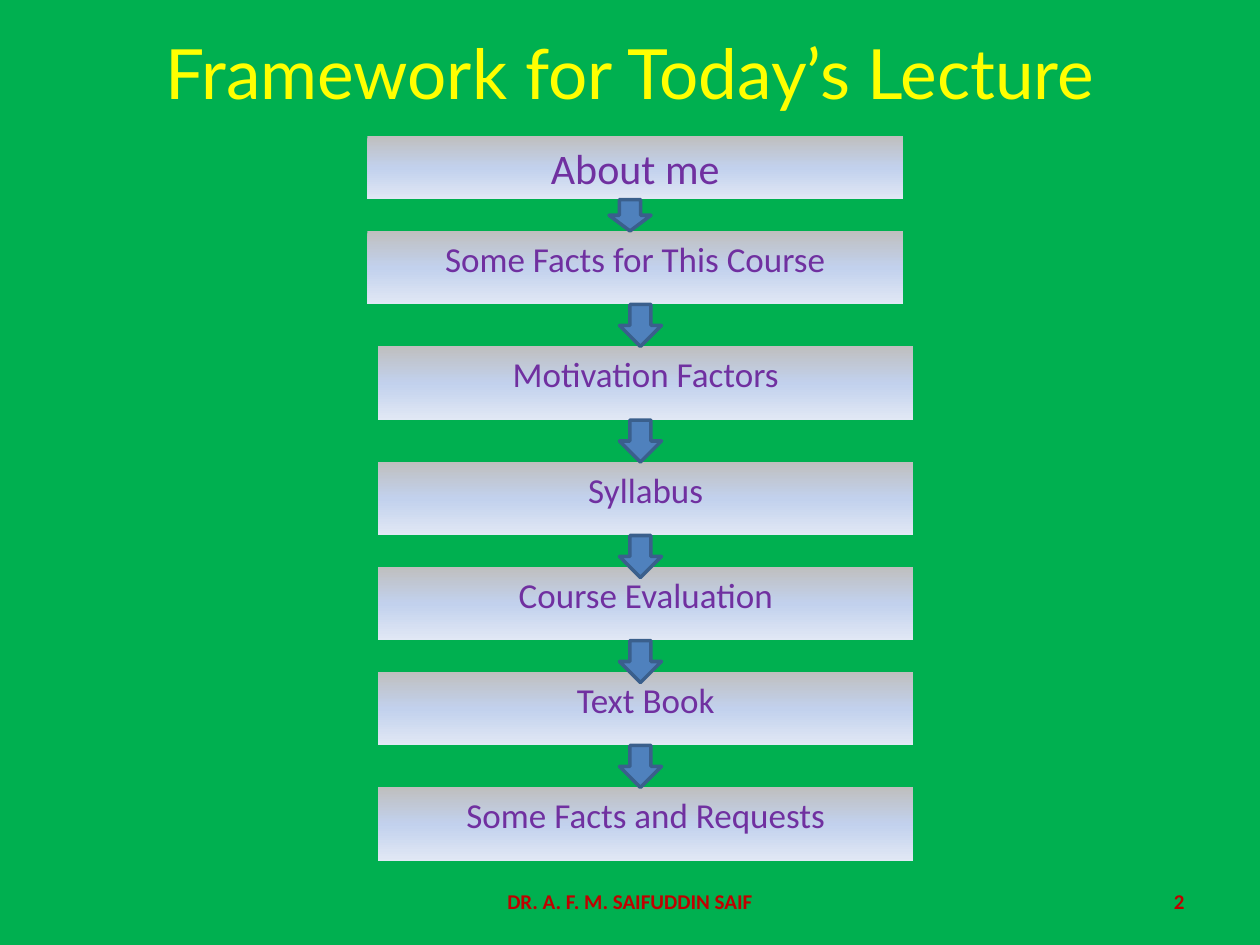
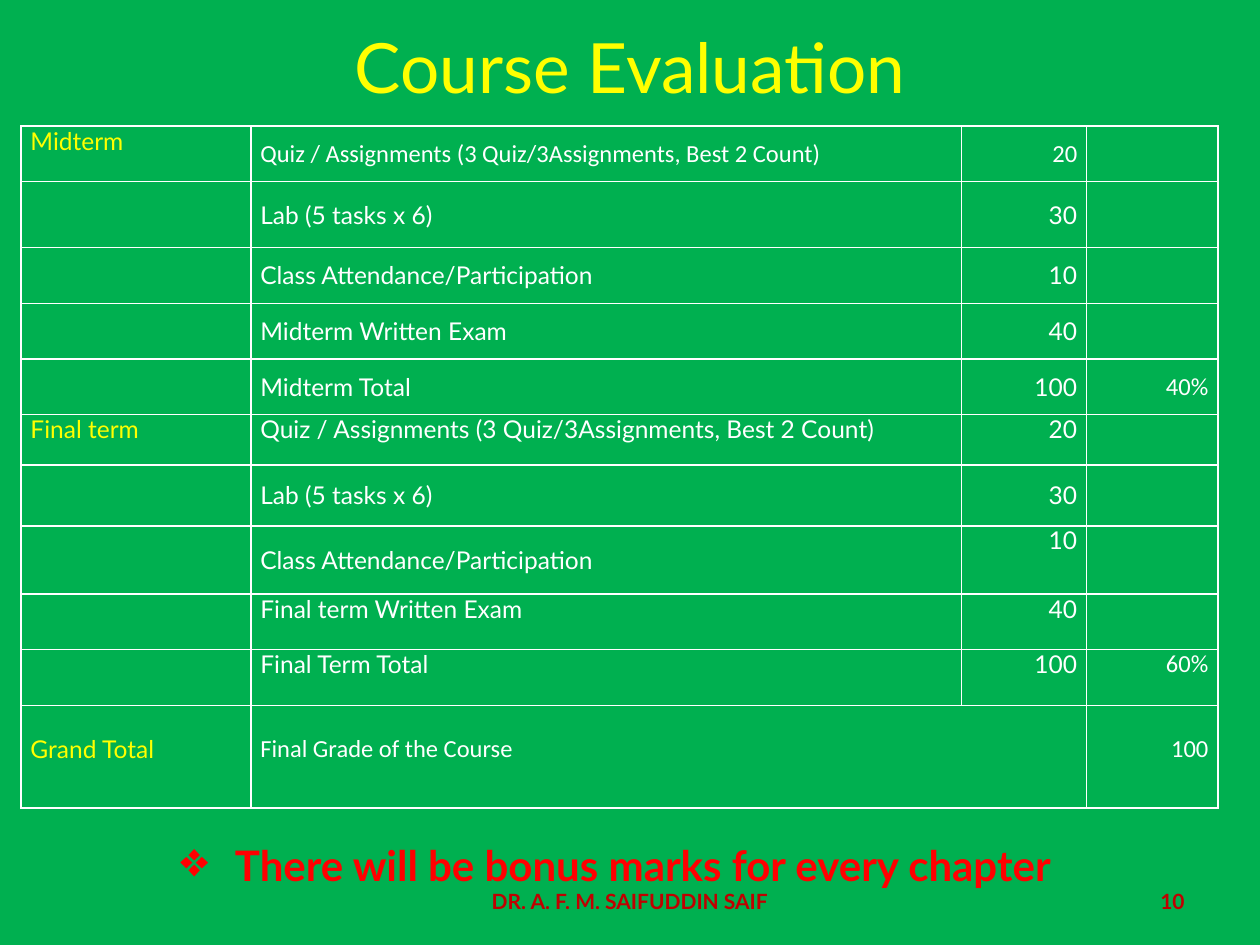
from copy import deepcopy

from lxml import etree
from pptx import Presentation
from pptx.dml.color import RGBColor
from pptx.enum.shapes import MSO_SHAPE
from pptx.enum.text import MSO_ANCHOR, PP_ALIGN
from pptx.oxml.ns import qn
from pptx.util import Emu, Pt

LEFT, CENTER, RIGHT, JUSTIFY = PP_ALIGN.LEFT, PP_ALIGN.CENTER, PP_ALIGN.RIGHT, PP_ALIGN.JUSTIFY
TOP, MIDDLE = MSO_ANCHOR.TOP, MSO_ANCHOR.MIDDLE
RECTANGLE, DOWN_ARROW = MSO_SHAPE.RECTANGLE, MSO_SHAPE.DOWN_ARROW

EMU_PER_PX = 7620  # 120 px to the inch
COLORS = {
    "green": "00B050", "yellow": "FFFF00", "white": "FFFFFF", "purple": "7030A0",
    "dark red": "C00000", "red": "FF0000", "arrow": "4F81BD", "arrow line": "3A5F8C",
    "box top": "BFBFBF", "box middle": "C2D1ED", "box bottom": "E1E8F5",
}
BOX_GRADIENT = [(0, "box top"), (0.5, "box middle"), (1, "box bottom")]
AUTHOR = "DR. A. F. M. SAIFUDDIN SAIF"

# Framework steps: text, left, top, height, text size
STEPS = [
    ("About me", 350, 130, 60, 24),
    ("Some Facts for This Course", 350, 220, 70, 20),
    ("Motivation Factors", 360, 330, 70, 20),
    ("Syllabus", 360, 440, 70, 20),
    ("Course Evaluation", 360, 540, 70, 20),
    ("Text Book", 360, 640, 70, 20),
    ("Some Facts and Requests", 360, 750, 70, 20),
]
STEP_WIDTH = 510
# Arrows below each step but the last: left, height
ARROWS = [(580, 30)] + [(590, 40)] * 5
ARROW_WIDTH = 40

# Marks: row height, anchor, term, item, marks, share
QUIZ = "Quiz / Assignments (3 Quiz/3Assignments, Best 2 Count)"
MARKS = [
    (53, MIDDLE, "Midterm", QUIZ, "20", ""),
    (63, MIDDLE, "", "Lab (5 tasks x 6)", "30", ""),
    (53, MIDDLE, "", "Class Attendance/Participation", "10", ""),
    (53, MIDDLE, "", "Midterm Written Exam", "40", ""),
    (53, MIDDLE, "", "Midterm Total", "100", "40%"),
    (48, TOP, "Final term", QUIZ, "20", ""),
    (58, MIDDLE, "", "Lab (5 tasks x 6)", "30", ""),
    (65, MIDDLE, "", "Class Attendance/Participation", "10", ""),
    (53, TOP, "", "Final term Written Exam", "40", ""),
    (53, TOP, "", "Final Term Total", "100", "60%"),
    (98, TOP, "Grand Total", "Final Grade of the Course", "", "100"),
]
COLUMN_WIDTHS = [219, 677, 119, 125]
TOP_CELLS = {(0, 0), (7, 2)}
GRAND_TOTAL_ROW = len(MARKS) - 1
GRAND_TOTAL_DROP = 28
BONUS = "There will be bonus marks for every chapter"


def px(*lengths):
    return [Emu(length * EMU_PER_PX) for length in lengths]


def color(name):
    return RGBColor.from_string(COLORS[name])


def write(frame, text, font, size, color_name, align=LEFT, bold=False):
    frame.word_wrap = True
    paragraph = frame.paragraphs[0]
    paragraph.text = text
    paragraph.alignment = align
    paragraph.font.name = font
    paragraph.font.size = Pt(size)
    paragraph.font.bold = bold
    paragraph.font.color.rgb = color(color_name)


def add_text(slide, place, anchor, *style):
    frame = slide.shapes.add_textbox(*px(*place)).text_frame
    frame.vertical_anchor = anchor
    write(frame, *style)
    return frame


def add_slide(presentation, title, title_height, number, footer_font):
    slide = presentation.slides.add_slide(presentation.slide_layouts[6])
    slide.background.fill.solid()
    slide.background.fill.fore_color.rgb = color("green")
    add_text(slide, (60, 36, 1080, title_height), MIDDLE, title, "Lato", 39.6, "yellow", CENTER)
    for left, width, text, align in [(860, 280, number, RIGHT), (410, 380, AUTHOR, CENTER)]:
        add_text(slide, (left, 834, width, 48), MIDDLE,
                 text, footer_font, 12, "dark red", align, True)
    return slide


def add_step(slide, text, left, top, height, size):
    box = slide.shapes.add_shape(RECTANGLE, *px(left, top, STEP_WIDTH, height))
    box.shadow.inherit = False
    box.line.fill.background()
    box.fill.gradient()
    box.fill.gradient_angle = 270
    stop_list = box._element.spPr.find(".//" + qn("a:gsLst"))
    stop_list.append(deepcopy(stop_list[0]))
    for stop, (position, name) in zip(box.fill.gradient_stops, BOX_GRADIENT):
        stop.position = position
        stop.color.rgb = color(name)
    box.text_frame.vertical_anchor = TOP
    write(box.text_frame, text, "Calibri", size, "purple", CENTER)


def add_arrow(slide, left, top, height):
    arrow = slide.shapes.add_shape(DOWN_ARROW, *px(left, top, ARROW_WIDTH, height))
    arrow.shadow.inherit = False
    arrow.fill.solid()
    arrow.fill.fore_color.rgb = color("arrow")
    arrow.line.color.rgb = color("arrow line")
    arrow.line.width = Pt(2)


def style_cell(cell, anchor, top_margin):
    properties = cell._tc.get_or_add_tcPr()
    for side in ("lnL", "lnR", "lnT", "lnB"):
        line = etree.SubElement(properties, qn("a:" + side), w=str(Pt(1)))
        fill = etree.SubElement(line, qn("a:solidFill"))
        etree.SubElement(fill, qn("a:srgbClr"), val=COLORS["white"])
    cell.fill.solid()
    cell.fill.fore_color.rgb = color("green")
    cell.vertical_anchor = anchor
    cell.margin_left, cell.margin_right, cell.margin_top, cell.margin_bottom = px(
        9, 9, top_margin, 0)


def add_marks_table(slide):
    heights = [row[0] for row in MARKS]
    table = slide.shapes.add_table(
        len(MARKS), len(COLUMN_WIDTHS),
        *px(20, 120, sum(COLUMN_WIDTHS), sum(heights))).table
    table.first_row = table.horz_banding = False
    for column, width in zip(table.columns, px(*COLUMN_WIDTHS)):
        column.width = width
    for row, height in zip(table.rows, px(*heights)):
        row.height = height
    for row_index, (_, row_anchor, *texts) in enumerate(MARKS):
        is_grand_total = row_index == GRAND_TOTAL_ROW
        for column_index, text in enumerate(texts):
            cell = table.cell(row_index, column_index)
            anchor = TOP if (row_index, column_index) in TOP_CELLS else row_anchor
            style_cell(cell, anchor, GRAND_TOTAL_DROP if is_grand_total else 0)
            in_calibri = column_index == 3 or (
                column_index > 0 and row_index in (0, GRAND_TOTAL_ROW))
            write(cell.text_frame, text, "Calibri" if in_calibri else "Lato", 14,
                  "white" if column_index else "yellow", RIGHT if column_index > 1 else LEFT)
    table.cell(GRAND_TOTAL_ROW, 1).merge(table.cell(GRAND_TOTAL_ROW, 2))


def add_bonus_note(slide):
    frame = slide.shapes.add_textbox(*px(160, 794, 960, 64)).text_frame
    properties = frame.paragraphs[0]._p.get_or_add_pPr()
    indent = px(52)[0]
    properties.set("marL", str(indent))
    properties.set("indent", str(-indent))
    etree.SubElement(properties, qn("a:buSzPct"), val="117000")
    etree.SubElement(properties, qn("a:buChar"), char="❖")
    write(frame, BONUS, "Lato", 24, "red", JUSTIFY, True)


def main():
    presentation = Presentation()
    presentation.slide_width, presentation.slide_height = px(1200, 900)

    # Framework: a column of steps joined by arrows
    slide = add_slide(presentation, "Framework for Today’s Lecture", 64, "2", "Calibri")
    for step in STEPS:
        add_step(slide, *step)
    for (_, _, top, step_height, _), (left, height) in zip(STEPS, ARROWS):
        add_arrow(slide, left, top + step_height, height)

    # Evaluation: table of marks and a note
    slide = add_slide(presentation, "Course Evaluation", 54, "10", "Lato")
    add_marks_table(slide)
    add_bonus_note(slide)

    presentation.save("out.pptx")


if __name__ == "__main__":
    main()
